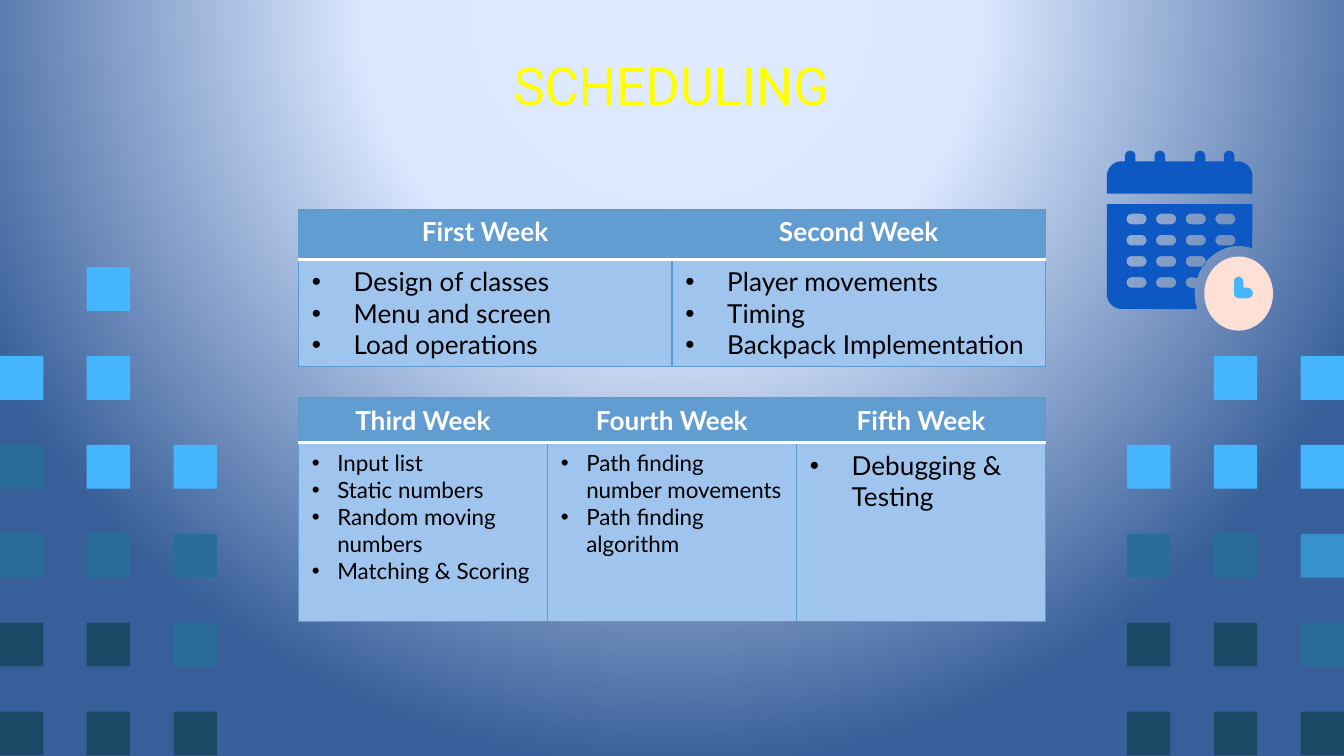
from math import cos, radians, sin

from pptx import Presentation
from pptx.dml.color import RGBColor
from pptx.enum.shapes import MSO_SHAPE
from pptx.enum.text import MSO_ANCHOR, PP_ALIGN
from pptx.oxml import parse_xml
from pptx.util import Cm, Pt

NS = 'xmlns:a="http://schemas.openxmlformats.org/drawingml/2006/main"'
YELLOW = RGBColor(0xFF, 0xFF, 0x00)
WHITE = RGBColor(0xFF, 0xFF, 0xFF)
BLACK = RGBColor(0x00, 0x00, 0x00)
HEADER_BLUE = RGBColor(0x62, 0x9D, 0xD1)
BODY_BLUE = RGBColor(0x9F, 0xC5, 0xEE)
BORDER_BLUE = RGBColor(0x5D, 0x9A, 0xCF)
CALENDAR_BLUE = RGBColor(0x0E, 0x58, 0xC4)
CLOCK_PINK = RGBColor(0xFF, 0xE0, 0xD6)
SQUARE_COLORS = {
    "B": RGBColor(0x45, 0xB6, 0xFE),
    "S": RGBColor(0x37, 0x92, 0xCB),
    "T": RGBColor(0x29, 0x6D, 0x98),
    "D": RGBColor(0x1C, 0x49, 0x66),
}
BACKGROUND_STOPS = [(0, "E0EBFF"), (40, "DAE7FF"), (100, "385F99")]

# Left edge in cm, then one string per row of squares
SQUARE_GRIDS = [
    (0, [".B.", "BB.", "TBB", "TTT", "DDT", "DDD"]),
    (21.3, [".B.", ".BB", "BBB", "TTS", "DDT", "DDD"]),
]

# Top and row heights in cm, then (week, text size, bullet indent in cm, tasks)
TABLES = [
    (3.96, (0.94, 2.03), [
        ("First Week", 14, 0.79, ["Design of classes", "Menu and screen", "Load operations"]),
        ("Second Week", 14, 0.79, ["Player movements", "Timing", "Backpack Implementation"]),
    ]),
    (7.52, (0.84, 3.38), [
        ("Third Week", 12, 0.48,
         ["Input list", "Static numbers", "Random moving numbers", "Matching & Scoring"]),
        ("Fourth Week", 12, 0.48, ["Path finding number movements", "Path finding algorithm"]),
        ("Fifth Week", 14, 0.79, ["Debugging & Testing"]),
    ]),
]
TABLE_LEFT, TABLE_WIDTH = 5.64, 14.12


def add_text(p, text, *, size, color, font="Lato", bold=False, align=None, indent=None):
    if indent:
        pPr = p._p.get_or_add_pPr()
        pPr.set("marL", str(Cm(indent)))
        pPr.set("indent", str(-Cm(indent)))
        for xml in (f'<a:buClr {NS}><a:srgbClr val="{color}"/></a:buClr>',
                    f'<a:buFont {NS} typeface="Arial"/>', f'<a:buChar {NS} char="•"/>'):
            pPr.append(parse_xml(xml))
    p.alignment = align
    r = p.add_run()
    r.text = text
    r.font.name, r.font.size, r.font.bold = font, Pt(size), bold
    r.font.color.rgb = color


def paint(shape, color):
    shape.shadow.inherit = False
    shape.fill.solid()
    shape.fill.fore_color.rgb = color
    shape.line.fill.background()


def set_background(s):
    s.background.fill.solid()
    bgPr = s._element.cSld.bg.bgPr
    stops = "".join(f'<a:gs pos="{pos * 1000}"><a:srgbClr val="{color}"/></a:gs>'
                    for pos, color in BACKGROUND_STOPS)
    bgPr.replace(bgPr[0], parse_xml(
        f'<a:gradFill {NS} rotWithShape="1"><a:gsLst>{stops}</a:gsLst><a:path path="circle">'
        '<a:fillToRect l="50000" t="-80000" r="50000" b="180000"/></a:path></a:gradFill>'))


def add_squares(s, left, rows):
    for i, row in enumerate(rows):
        for j, key in enumerate(row):
            if key in SQUARE_COLORS:
                square = s.shapes.add_shape(MSO_SHAPE.RECTANGLE, Cm(left + 1.64 * j),
                                            Cm(5.05 + 1.68 * i), Cm(0.82), Cm(0.83))
                paint(square, SQUARE_COLORS[key])


def style_cell(cell, fill, bottom=None, top=None):
    cell.fill.solid()
    cell.fill.fore_color.rgb = fill
    tcPr = cell._tc.get_or_add_tcPr()
    for i, (side, color) in enumerate([("L", None), ("R", None), ("T", top), ("B", bottom)]):
        width = Pt(2) if color else Pt(0.75)
        tcPr.insert(i, parse_xml(
            f'<a:ln{side} {NS} w="{width}"><a:solidFill><a:srgbClr val="{color or BORDER_BLUE}"/>'
            f'</a:solidFill></a:ln{side}>'))


def add_schedule(s, top, heights, weeks):
    table = s.shapes.add_table(2, len(weeks), Cm(TABLE_LEFT), Cm(top),
                               Cm(TABLE_WIDTH), Cm(sum(heights))).table
    table.horz_banding = False
    for row, height in zip(table.rows, heights):
        row.height = Cm(height)
    for j, (week, size, indent, tasks) in enumerate(weeks):
        table.columns[j].width = Cm(TABLE_WIDTH / len(weeks))
        header, body = table.cell(0, j), table.cell(1, j)
        style_cell(header, HEADER_BLUE, bottom=WHITE)
        style_cell(body, BODY_BLUE, top=WHITE)
        add_text(header.text_frame.paragraphs[0], week, size=14, color=WHITE, bold=True,
                 align=PP_ALIGN.CENTER)
        tf = body.text_frame
        for k, task in enumerate(tasks):
            p = tf.add_paragraph() if k else tf.paragraphs[0]
            add_text(p, task, size=size, color=BLACK, indent=indent)


def arc(x, y, rx, start, end, ry=None, steps=12):
    """Points on an ellipse, angles in degrees clockwise from the right."""
    angles = [radians(start + (end - start) * i / steps) for i in range(steps + 1)]
    return [(x + rx * cos(a), y + (ry or rx) * sin(a)) for a in angles]


def add_outline(shapes, contours, color):
    """One freeform; contours after the first are holes."""
    builder = None
    for contour in contours:
        (x, y), *rest = contour
        if builder is None:
            builder = shapes.build_freeform(Cm(x), Cm(y))
        else:
            builder.move_to(Cm(x), Cm(y))
        builder.add_line_segments([(Cm(px), Cm(py)) for px, py in rest], close=True)
    paint(builder.convert_to_shape(), color)


def add_calendar(s):
    shapes = s.shapes.add_group_shape().shapes
    left, right, corner = 20.92, 23.67, 0.28
    clock_x, clock_y = 23.41, 5.55

    hands = (arc(23.41, 5.32, 0.09, 180, 360) + [(23.5, 5.44)]
             + arc(23.58, 5.54, 0.1, 270, 450) + arc(23.42, 5.54, 0.1, 90, 180))
    face = arc(clock_x, clock_y, 0.65, 0, 360, ry=0.7, steps=48)
    add_outline(shapes, [face, hands], CLOCK_PINK)

    def notch(start, end):
        return arc(clock_x, clock_y, 0.83, start, end, ry=0.9, steps=24)

    days = []
    for i, count in enumerate([4, 4, 3, 2]):
        for j in range(count):
            x, y = 21.39 + 0.56 * j, 4.14 + 0.4 * i
            days.append(arc(x, y, 0.1, 90, 270) + arc(x + 0.18, y, 0.1, 270, 450))
    # The clock's gap cuts into the third day of the last row
    page = ([(right, 3.86), (left, 3.86)] + arc(left + corner, 5.56, corner, 180, 90)
            + notch(161, 187) + arc(22.51, 5.34, 0.1, 90, 270) + notch(199, 288))
    add_outline(shapes, [page] + days, CALENDAR_BLUE)

    top = [(left, 3.66)] + arc(left + corner, 3.33, corner, 180, 270)
    for x in (21.36, 21.92, 22.68, 23.23):
        top += [(x - 0.1, 3.05)] + arc(x, 2.95, 0.1, 180, 360) + [(x + 0.1, 3.05)]
    top += arc(right - corner, 3.33, corner, 270, 360) + [(right, 3.66)]
    add_outline(shapes, [top], CALENDAR_BLUE)


def main():
    prs = Presentation()
    prs.slide_width, prs.slide_height = Cm(25.4), Cm(14.29)
    s = prs.slides.add_slide(prs.slide_layouts[6])
    set_background(s)
    for left, rows in SQUARE_GRIDS:
        add_squares(s, left, rows)

    tf = s.shapes.add_textbox(Cm(5.03), Cm(0.64), Cm(15.32), Cm(1.93)).text_frame
    tf.word_wrap = True
    tf.vertical_anchor = MSO_ANCHOR.MIDDLE
    add_text(tf.paragraphs[0], "SCHEDULING", size=28, color=YELLOW, font="Roboto",
             align=PP_ALIGN.CENTER)

    for top, heights, weeks in TABLES:
        add_schedule(s, top, heights, weeks)
    add_calendar(s)
    prs.save("out.pptx")


if __name__ == "__main__":
    main()
